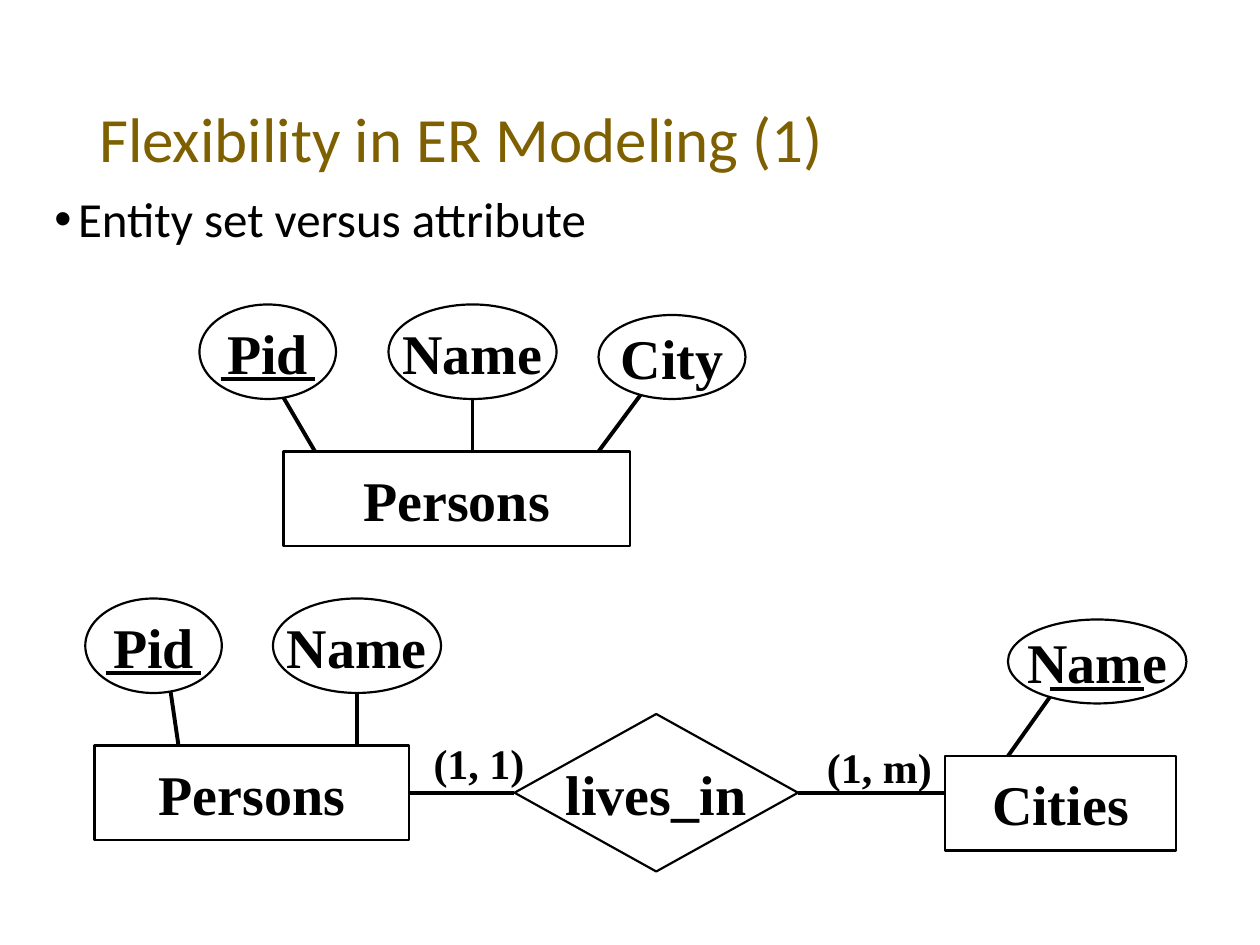
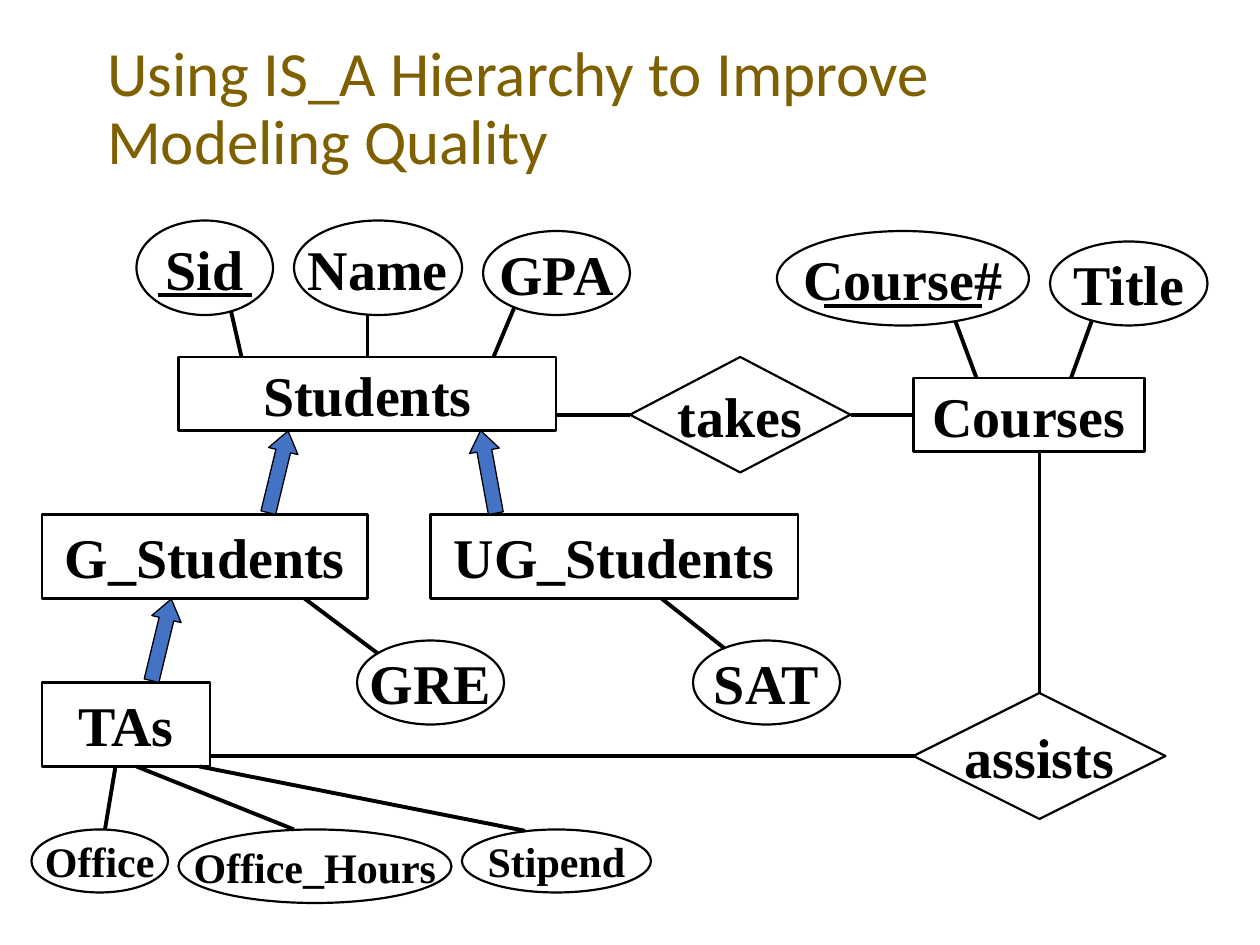
from math import sqrt

from lxml.etree import SubElement
from pptx import Presentation
from pptx.dml.color import RGBColor
from pptx.enum.shapes import MSO_CONNECTOR, MSO_SHAPE
from pptx.enum.text import MSO_ANCHOR, MSO_AUTO_SIZE, PP_ALIGN
from pptx.oxml.ns import qn
from pptx.util import Emu, Pt

PX = 9525
COLORS = {"title": "7F6000", "ink": "000000", "arrow": "4472C4"}
RECT, OVAL, DIAMOND = MSO_SHAPE.RECTANGLE, MSO_SHAPE.OVAL, MSO_SHAPE.DIAMOND


def px(*lengths):
    return [Emu(length * PX) for length in lengths]


def write(box, text, font="Times New Roman", size=32, color="ink", bold=True,
          wrap=False, anchor=MSO_ANCHOR.MIDDLE, align=PP_ALIGN.CENTER,
          spacing=1.0, bullet=None):
    frame = box.text_frame
    frame.auto_size = MSO_AUTO_SIZE.NONE
    frame.word_wrap = wrap
    frame.vertical_anchor = anchor
    para = frame.paragraphs[0]
    para.alignment = align
    para.line_spacing = spacing
    para.space_before = Pt(0)
    if bullet:
        properties = para._p.get_or_add_pPr()
        properties.set("marL", str(18 * PX))
        properties.set("indent", str(-18 * PX))
        SubElement(properties, qn("a:buFont"), typeface="Arial")
        SubElement(properties, qn("a:buChar"), char=bullet)
    span = para.add_run()
    span.text = text
    span.font.name = font
    span.font.size = Pt(size)
    span.font.bold = bold
    span.font.color.rgb = RGBColor.from_string(COLORS[color])


heading = dict(font="Calibri", bold=False, wrap=True, align=PP_ALIGN.LEFT, spacing=0.9)
entity_fields = ("label", "box", "side", "gap", "attribute_size", "attributes")
slides = [
    {
        "title": "Flexibility in ER Modeling (1)",
        "title_box": (66, 38, 828, 140),
        "bullets": ["Entity set versus attribute"],
        "entities": [
            ("Persons", (216, 344, 264, 72), "above", 40, 32, [
                ("Pid", 152, 104, 72, 240, 216, "key"),
                ("Name", 296, 128, 72, 360, 360, ""),
                ("City", 456, 112, 64, 456, 488, "")]),
            ("Persons", (72, 568, 240, 72), "above", 40, 32, [
                ("Pid", 65, 104, 72, 136, 130, "key"),
                ("Name", 208, 128, 72, 272, 272, "")]),
            ("Cities", (720, 576, 176, 72), "above", 40, 32, [
                ("Name", 768, 136, 64, 768, 800, "key")]),
        ],
        "relationships": [("lives_in", (392, 544, 216, 120), ("Persons", "Cities"))],
        "cardinalities": [("(1, 1)", 319, 557), ("(1, m)", 624, 560)],
        "is_a_arrows": [],
    },
    {
        "title": "Using IS_A Hierarchy to Improve Modeling Quality",
        "title_box": (72, 24, 816, 120),
        "bullets": [],
        "entities": [
            ("Students", (136, 272, 288, 56), "above", 32, 32, [
                ("Sid", 104, 104, 72, 184, 176, "key"),
                ("Name", 224, 128, 72, 280, 280, ""),
                ("GPA", 368, 112, 64, 376, 392, "")]),
            ("G_Students", (32, 392, 248, 64), "below", 32, 32, [
                ("GRE", 272, 112, 64, 232, 288, "")]),
            ("UG_Students", (328, 392, 280, 64), "below", 32, 32, [
                ("SAT", 528, 112, 64, 504, 552, "")]),
            ("TAs", (32, 520, 128, 64), "below", 48, 24, [
                ("Office", 24, 104, 48, 88, 80, ""),
                ("Office_Hours", 136, 208, 56, 104, 224, ""),
                ("Stipend", 352, 144, 48, 152, 400, "")]),
            ("Courses", (696, 288, 176, 56), "above", 40, 32, [
                ("Course#", 592, 192, 72, 744, 728, "key"),
                ("Title", 800, 120, 64, 816, 832, "")]),
        ],
        "relationships": [
            ("takes", (480, 272, 168, 88), ("Students", "Courses")),
            ("assists", (696, 528, 192, 96), ("TAs", "Courses")),
        ],
        "cardinalities": [],
        "is_a_arrows": [(340, 348, 259.6), (180, 348, 283.6), (91, 476, 283.6)],
    },
]

deck = Presentation()
deck.slide_width, deck.slide_height = px(960, 720)
ink = RGBColor.from_string(COLORS["ink"])

for content in slides:
    page = deck.slides.add_slide(deck.slide_layouts[5])
    title = page.shapes.title
    title.left, title.top, title.width, title.height = px(*content["title_box"])
    write(title, content["title"], size=36, color="title", **heading)

    for text in content["bullets"]:
        box = page.shapes.add_textbox(*px(32, 144, 896, 544))
        write(box, text, size=28, anchor=MSO_ANCHOR.TOP, bullet="•", **heading)

    nodes, lines, entity_boxes = [], [], {}
    for values in content["entities"]:
        entity = dict(zip(entity_fields, values))
        left, top, width, height = entity["box"]
        nodes.append((RECT, entity["label"], entity["box"], 32))
        entity_boxes[entity["label"]] = entity["box"]
        above = entity["side"] == "above"
        entity_y = top if above else top + height
        for label, oval_left, oval_width, oval_height, entity_x, oval_x, role in entity["attributes"]:
            oval_top = top - entity["gap"] - oval_height if above else entity_y + entity["gap"]
            oval_box = (oval_left, oval_top, oval_width, oval_height)
            nodes.append((OVAL, label, oval_box, entity["attribute_size"]))
            center, middle = oval_left + oval_width // 2, oval_top + oval_height // 2
            offset = (oval_x - center) / (oval_width / 2)
            rise = round(oval_height / 2 * sqrt(1 - offset ** 2))
            lines.append((entity_x, entity_y, oval_x, middle + rise if above else middle - rise))
            if role == "key":
                half = 36 if len(label) < 5 else 60
                lines.append((center - half, middle + 21, center + half, middle + 21))

    for label, diamond_box, partners in content["relationships"]:
        nodes.append((DIAMOND, label, diamond_box, 32))
        left, top, width, height = diamond_box
        center, middle = left + width // 2, top + height // 2
        for partner in partners:
            partner_left, partner_top, partner_width, partner_height = entity_boxes[partner]
            if partner_left + partner_width <= left:
                lines.append((partner_left + partner_width, middle, left, middle))
            elif partner_left >= left + width:
                lines.append((left + width, middle, partner_left, middle))
            else:
                lines.append((center, partner_top + partner_height, center, top))

    side_middles = {}
    for kind, label, node_box, size in nodes:
        node = page.shapes.add_shape(kind, *px(*node_box))
        node.shadow.inherit = False
        node.fill.background()
        node.line.color.rgb = ink
        node.line.width = Pt(1.25)
        write(node, label, size=size)
        if kind != OVAL:
            left, top, width, height = node_box
            center, middle = left + width // 2, top + height // 2
            sides = [(center, top), (left, middle),
                     (center, top + height), (left + width, middle)]
            for site, point in enumerate(sides):
                side_middles[point] = (node, site)

    for x1, y1, x2, y2 in lines:
        line = page.shapes.add_connector(MSO_CONNECTOR.STRAIGHT, *px(x1, y1, x2, y2))
        line.line.color.rgb = ink
        line.line.width = Pt(2.25)
        SubElement(line._element.spPr, qn("a:effectLst"))
        if (x1, y1) in side_middles:
            line.begin_connect(*side_middles[x1, y1])
        if (x2, y2) in side_middles:
            line.end_connect(*side_middles[x2, y2])

    for text, left, top in content["cardinalities"]:
        box = page.shapes.add_textbox(*px(left, top, 92, 48))
        write(box, text, size=24)

    for left, top, rotation in content["is_a_arrows"]:
        arrow = page.shapes.add_shape(MSO_SHAPE.RIGHT_ARROW, *px(left, top, 64, 23))
        arrow.rotation = rotation
        arrow.adjustments[1] = 0.68
        arrow.shadow.inherit = False
        arrow.fill.solid()
        arrow.fill.fore_color.rgb = RGBColor.from_string(COLORS["arrow"])
        arrow.line.color.rgb = ink
        arrow.line.width = Pt(0.75)

deck.save("out.pptx")
